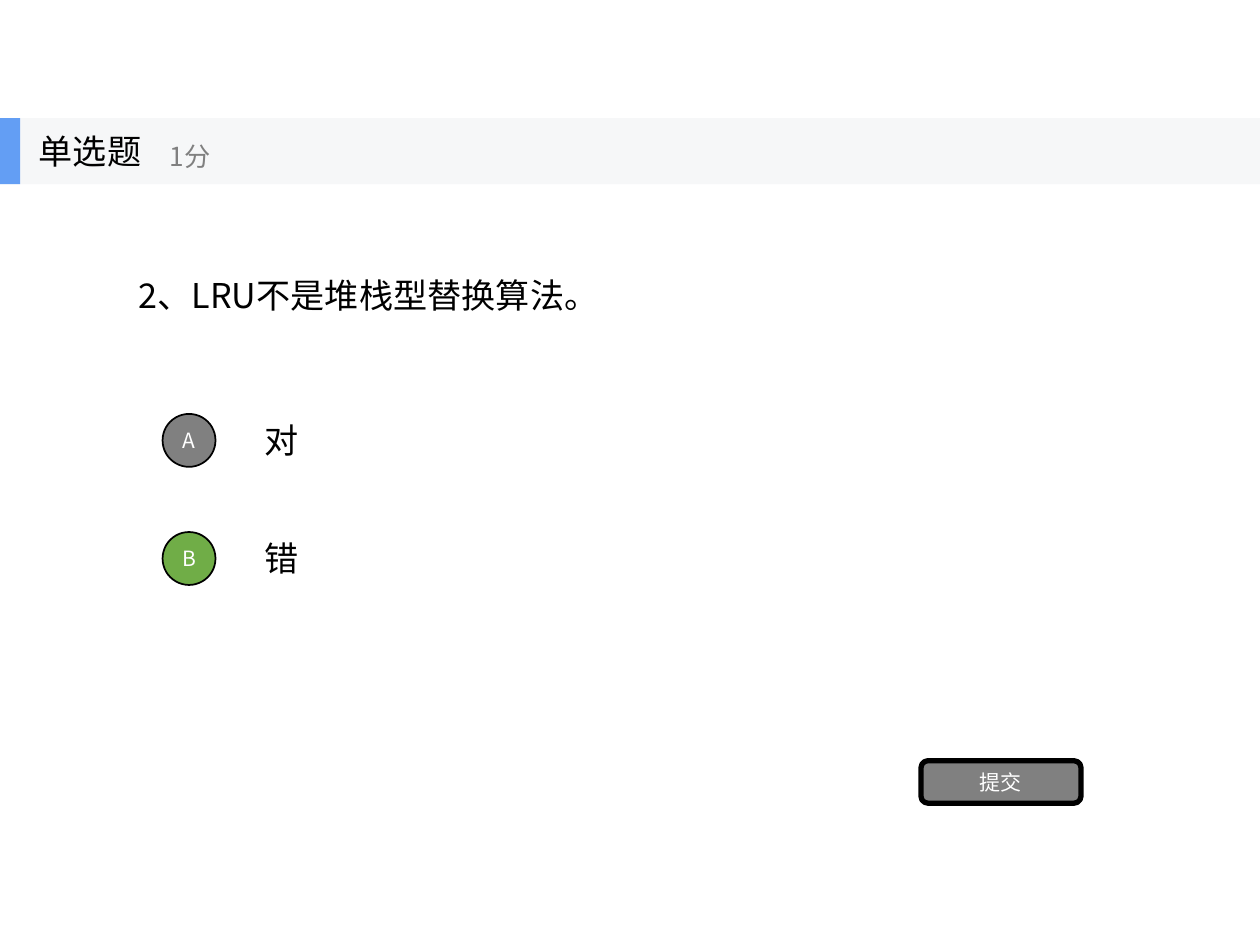
from dataclasses import dataclass
from lxml.etree import SubElement
from pptx import Presentation
from pptx.dml.color import RGBColor
from pptx.enum.shapes import MSO_SHAPE as Shape
from pptx.enum.text import MSO_ANCHOR as Anchor, PP_ALIGN as Align
from pptx.oxml.ns import qn
from pptx.util import Inches, Pt


@dataclass(frozen=True)
class Theme:
    font: str = "Noto Sans CJK SC"
    ink: str = "000000"
    muted: str = "808080"
    light: str = "FFFFFF"
    band: str = "F6F7F8"
    accent: str = "639EF4"
    correct: str = "70AD47"
    body: float = 19.5
    score: float = 15
    label: float = 12


@dataclass(frozen=True)
class Box:
    left: float
    top: float
    width: float
    height: float

    def area(self, left, top, width, height):
        return Box(self.left + left * self.width, self.top + top * self.height,
                   width * self.width, height * self.height)

    def emu(self):
        return [Inches(side) for side in (self.left, self.top, self.width, self.height)]


THEME = Theme()
PAGE = Box(0, 0, 10, 7.5)
ROW = 1 / 8


def write(frame, words, size, color, align=Align.LEFT, wrap=True):
    frame.text = words
    frame.word_wrap = wrap
    frame.vertical_anchor = Anchor.MIDDLE
    paragraph = frame.paragraphs[0]
    paragraph.alignment = align
    run = paragraph.runs[0]
    run.font.size = Pt(size)
    run.font.color.rgb = RGBColor.from_string(color)
    run.font.name = THEME.font
    SubElement(run.font._element, qn("a:ea"), typeface=THEME.font)


def add_text(slide, box, words, size=THEME.body, color=THEME.ink, wrap=True):
    frame = slide.shapes.add_textbox(*box.emu()).text_frame
    write(frame, words, size, color, wrap=wrap)


def add_block(slide, box, kind, fill, outline=0, words=""):
    block = slide.shapes.add_shape(kind, *box.emu())
    block.shadow.inherit = False
    block.fill.solid()
    block.fill.fore_color.rgb = RGBColor.from_string(fill)
    if outline:
        block.line.color.rgb = RGBColor.from_string(THEME.ink)
        block.line.width = Pt(outline)
    else:
        block.line.fill.background()
    if words:
        frame = block.text_frame
        frame.margin_left = frame.margin_right = 0
        frame.margin_top = frame.margin_bottom = 0
        write(frame, words, THEME.label, THEME.light, Align.CENTER)


def add_header(slide, box, title, score):
    add_block(slide, box, Shape.RECTANGLE, THEME.band)
    add_block(slide, box.area(0, 0, 0.016, 1), Shape.RECTANGLE, THEME.accent)
    add_text(slide, box.area(0.021, 0, 0.156, 1), title, wrap=False)
    add_text(slide, box.area(0.125, 0.18, 0.188, 0.8), score,
             THEME.score, THEME.muted, wrap=False)


def add_options(slide, box, options):
    diameter = 0.42
    for index, (letter, answer, fill) in enumerate(options):
        row = box.area(0, index / len(options), 1, 1 / len(options))
        badge = Box(row.left, row.top + 0.06, diameter, diameter)
        add_block(slide, badge, Shape.OVAL, fill, 1, letter)
        add_text(slide, row.area(0.092, 0, 0.908, 0.565), answer)


def add_question(slide, box):
    add_text(slide, box.area(0.1, 0.195, 0.8, 0.235), "2、LRU不是堆栈型替换算法。")
    add_options(slide, box.area(0.129, 0.43, 0.771, 2 * ROW), [
        ("A", "对", THEME.muted),
        ("B", "错", THEME.correct),
    ])
    add_block(slide, box.area(0.731, 0.805, 0.127, 0.045),
              Shape.ROUNDED_RECTANGLE, THEME.muted, 3, "提交")
    add_header(slide, box.area(0, ROW, 1, 0.07), "单选题", "1分")


def main():
    deck = Presentation()
    deck.slide_width, deck.slide_height = Inches(PAGE.width), Inches(PAGE.height)
    slide = deck.slides.add_slide(deck.slide_layouts[6])
    add_question(slide, PAGE)
    deck.save("out.pptx")


if __name__ == "__main__":
    main()
